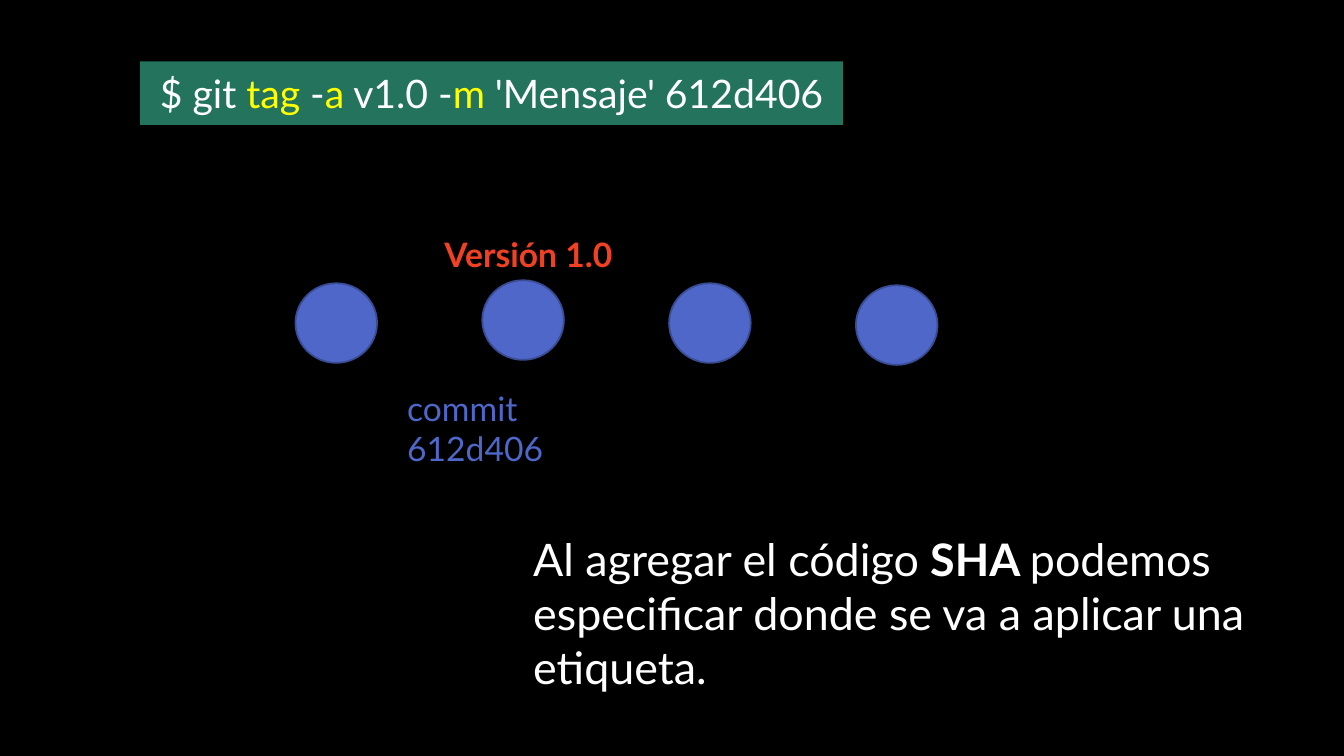
from pptx import Presentation
from pptx.dml.color import RGBColor
from pptx.enum.shapes import MSO_SHAPE
from pptx.enum.text import MSO_ANCHOR, MSO_AUTO_SIZE, PP_ALIGN
from pptx.util import Inches, Pt

# Content: each run is (text, colour, bold)
WHITE, YELLOW, RED, BLUE = "FFFFFF", "FFFF00", "F14124", "4E67C8"
BLACK, GREEN, DARK_BLUE = "000000", "23735D", "3A4C94"
FONT = "Lato"

COMMAND = [
    ("$ git ", WHITE, False),
    ("tag", YELLOW, False),
    (" -", WHITE, False),
    ("a", YELLOW, False),
    (" v1.0 -", WHITE, False),
    ("m", YELLOW, False),
    (" 'Mensaje' 612d406", WHITE, False),
]
EXPLANATION = [
    ("Al agregar el código", WHITE, False),
    (" SHA ", WHITE, True),
    ("podemos especificar donde se va a aplicar una etiqueta.", WHITE, False),
]
# Text boxes: (left, top, width, height), size, runs
TEXTS = [
    ((5.19, 5.23, 7.57, 1.72), 32, EXPLANATION),
    ((4.31, 2.27, 1.99, 0.5), 24, [("Versión 1.0", RED, True)]),
    ((3.94, 3.8, 2.72, 0.5), 24, [("commit 612d406", BLUE, False)]),
]
# Commits: evenly spaced across, each with its own top
COMMIT_TOPS = [2.81, 2.78, 2.81, 2.83]
COMMIT_LEFT, COMMIT_PITCH = 2.93, 1.853
COMMIT_WIDTH, COMMIT_HEIGHT = 0.81, 0.79


def color(hex_value):
    return RGBColor.from_string(hex_value)


def add_box(slide, kind, box, fill):
    shape = slide.shapes.add_shape(kind, *map(Inches, box))
    shape.shadow.inherit = False
    shape.fill.solid()
    shape.fill.fore_color.rgb = color(fill)
    return shape


def write_runs(paragraph, runs, size):
    paragraph.font.name = FONT
    paragraph.font.size = Pt(size)
    for text, hex_value, bold in runs:
        run = paragraph.add_run()
        run.text = text
        run.font.color.rgb = color(hex_value)
        run.font.bold = bold


def main():
    presentation = Presentation()
    presentation.slide_width = Inches(13.33)
    presentation.slide_height = Inches(7.5)
    slide = presentation.slides.add_slide(presentation.slide_layouts[6])
    slide.background.fill.solid()
    slide.background.fill.fore_color.rgb = color(BLACK)

    # Command bar
    command = add_box(slide, MSO_SHAPE.RECTANGLE, (1.39, 0.61, 6.97, 0.63), GREEN)
    command.line.fill.background()
    command.text_frame.vertical_anchor = MSO_ANCHOR.MIDDLE
    command.text_frame.word_wrap = True
    paragraph = command.text_frame.paragraphs[0]
    paragraph.alignment = PP_ALIGN.CENTER
    write_runs(paragraph, COMMAND, 28)

    # Row of commits
    for index, top in enumerate(COMMIT_TOPS):
        left = COMMIT_LEFT + index * COMMIT_PITCH
        commit = add_box(slide, MSO_SHAPE.FLOWCHART_CONNECTOR,
                         (left, top, COMMIT_WIDTH, COMMIT_HEIGHT), BLUE)
        commit.line.color.rgb = color(DARK_BLUE)
        commit.line.width = Pt(1.25)

    # Explanation and commit labels
    for box, size, runs in TEXTS:
        text_frame = slide.shapes.add_textbox(*map(Inches, box)).text_frame
        text_frame.word_wrap = True
        text_frame.auto_size = MSO_AUTO_SIZE.SHAPE_TO_FIT_TEXT
        write_runs(text_frame.paragraphs[0], runs, size)

    presentation.save("out.pptx")


if __name__ == "__main__":
    main()
